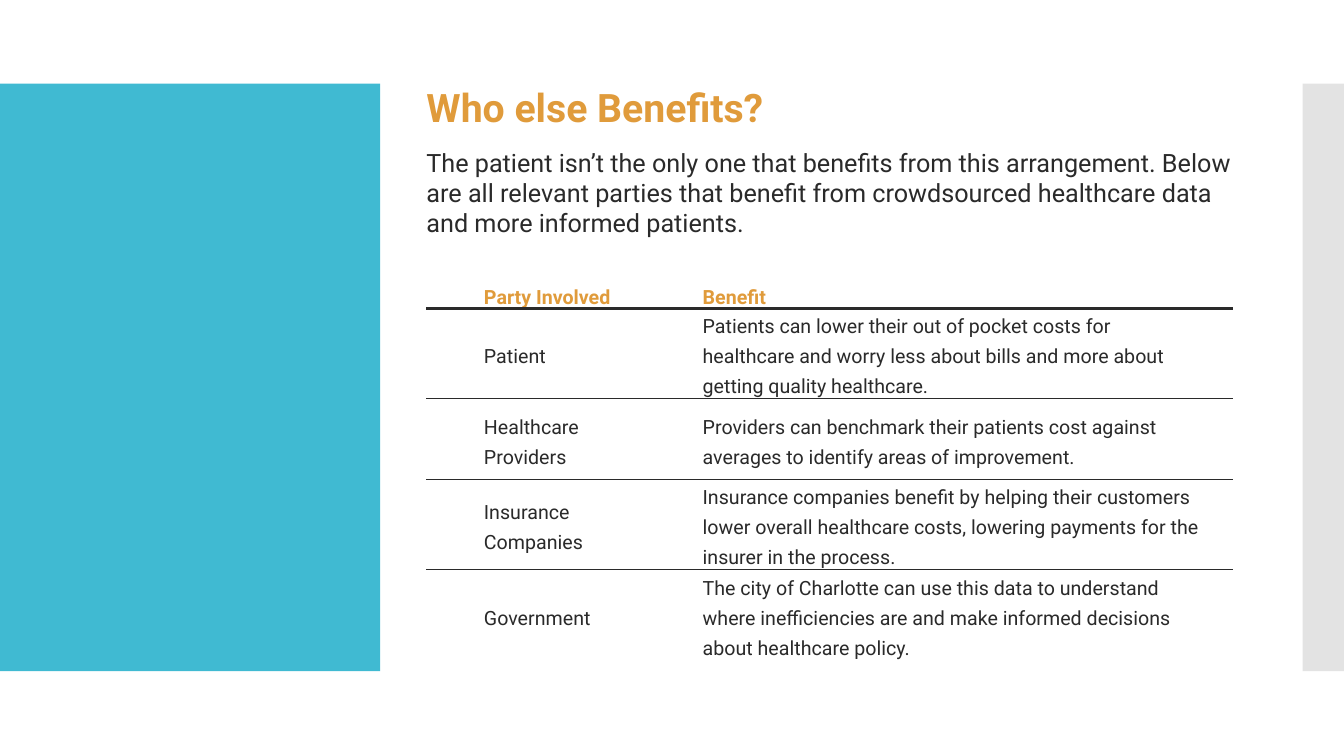
from dataclasses import dataclass
from typing import Optional

import lxml.etree
import pptx
import pptx.dml.color
import pptx.enum.shapes
import pptx.enum.text
import pptx.oxml.ns
import pptx.util

Inches = pptx.util.Inches
Pt = pptx.util.Pt
RGBColor = pptx.dml.color.RGBColor
ANCHOR = pptx.enum.text.MSO_ANCHOR
qn = pptx.oxml.ns.qn

ORANGE = RGBColor(0xE0, 0x9B, 0x3B)
DARK = RGBColor(0x2A, 0x2A, 0x2A)
TEAL = RGBColor(0x40, 0xBA, 0xD2)
GRAY = RGBColor(0xC8, 0xC8, 0xC8)
FONT = "Roboto"
LEFT, WIDTH = 4.23, 8


@dataclass
class Panel:
    left: float
    width: float
    color: RGBColor
    opacity: int = 100


@dataclass
class Benefit:
    party: str
    text: str


PANELS = [Panel(0, 3.77, TEAL), Panel(12.92, 0.42, GRAY, 50)]

INTRO = (
    "The patient isn’t the only one that benefits from this arrangement. "
    "Below are all relevant parties that benefit from crowdsourced "
    "healthcare data and more informed patients."
)

BENEFITS = [
    Benefit("Party Involved", "Benefit"),
    Benefit("Patient", "Patients can lower their out of pocket costs for healthcare "
            "and worry less about bills and more about getting quality healthcare."),
    Benefit("Healthcare Providers", "Providers can benchmark their patients cost "
            "against averages to identify areas of improvement."),
    Benefit("Insurance Companies", "Insurance companies benefit by helping their "
            "customers lower overall healthcare costs, lowering payments for the "
            "insurer in the process."),
    Benefit("Government", "The city of Charlotte can use this data to understand "
            "where inefficiencies are and make informed decisions about "
            "healthcare policy."),
]
COLUMNS = [0.47, 2.17, 5.36]
HEADER_HEIGHT, ROW_HEIGHT = 0.37, 0.8
# Rule widths in points, from the table's top edge to its bottom edge
RULES = [None, 3, 1, 1, 1, None]


def format_runs(p, size: float, color: RGBColor, bold: bool = False) -> None:
    for r in p.runs:
        r.font.name = FONT
        r.font.size = Pt(size)
        r.font.bold = bold
        r.font.color.rgb = color


def add_panel(s, panel: Panel) -> None:
    sp = s.shapes.add_shape(
        pptx.enum.shapes.MSO_SHAPE.RECTANGLE,
        Inches(panel.left), Inches(0.83), Inches(panel.width), Inches(5.83))
    sp.shadow.inherit = False
    sp.fill.solid()
    sp.fill.fore_color.rgb = panel.color
    sp.line.fill.background()
    if panel.opacity < 100:
        color = sp.fill._xPr.find(qn("a:solidFill"))[0]
        lxml.etree.SubElement(color, qn("a:alpha"), val=str(panel.opacity * 1000))


def fill_text(sp, text: str, top: float, height: float, size: float,
              color: RGBColor, bold: bool = False) -> None:
    sp.left, sp.top = Inches(LEFT), Inches(top)
    sp.width, sp.height = Inches(WIDTH), Inches(height)
    tf = sp.text_frame
    tf.text = text
    tf.word_wrap = True
    tf.auto_size = pptx.enum.text.MSO_AUTO_SIZE.NONE
    tf.vertical_anchor = ANCHOR.TOP
    tf.margin_left = tf.margin_right = tf.margin_top = tf.margin_bottom = 0
    p = tf.paragraphs[0]
    p.alignment = pptx.enum.text.PP_ALIGN.LEFT
    format_runs(p, size, color, bold)


def set_borders(cell, top: Optional[float], bottom: Optional[float]) -> None:
    """Rule the cell above and below, and clear its sides."""
    tc_pr = cell._tc.get_or_add_tcPr()
    sides = {"a:lnL": None, "a:lnR": None, "a:lnT": top, "a:lnB": bottom}
    for i, (tag, width) in enumerate(sides.items()):
        ln = lxml.etree.Element(qn(tag))
        if width is None:
            lxml.etree.SubElement(ln, qn("a:noFill"))
        else:
            ln.set("w", str(Pt(width)))
            fill = lxml.etree.SubElement(ln, qn("a:solidFill"))
            lxml.etree.SubElement(fill, qn("a:srgbClr"), val=str(DARK))
        tc_pr.insert(i, ln)


def format_cell(cell, text: str, header: bool) -> None:
    cell.fill.background()
    cell.margin_left, cell.margin_right = Inches(0.1), Inches(0.3)
    cell.margin_top = cell.margin_bottom = 0
    cell.vertical_anchor = ANCHOR.BOTTOM if header else ANCHOR.MIDDLE
    cell.text_frame.text = text
    p = cell.text_frame.paragraphs[0]
    p.line_spacing = 0.9 if header else 1.3
    p.space_before = Pt(24 if header else 10)
    p.space_after = Pt(18 if header else 10)
    format_runs(p, 14, ORANGE if header else DARK, header)


def add_benefits_table(s) -> None:
    heights = [HEADER_HEIGHT] + [ROW_HEIGHT] * (len(BENEFITS) - 1)
    table = s.shapes.add_table(
        len(BENEFITS), len(COLUMNS), Inches(LEFT), Inches(2.69),
        Inches(WIDTH), Inches(sum(heights))).table
    table.first_row = table.horz_banding = False
    for column, width in zip(table.columns, COLUMNS):
        column.width = Inches(width)
    for i, benefit in enumerate(BENEFITS):
        table.rows[i].height = Inches(heights[i])
        for j, text in enumerate(["", benefit.party, benefit.text]):
            cell = table.cell(i, j)
            format_cell(cell, text, header=i == 0)
            set_borders(cell, RULES[i], RULES[i + 1])


def main() -> None:
    prs = pptx.Presentation()
    prs.slide_width, prs.slide_height = Inches(13.33), Inches(7.5)
    s = prs.slides.add_slide(prs.slide_layouts.get_by_name("Title Only"))
    for panel in PANELS:
        add_panel(s, panel)
    add_benefits_table(s)
    fill_text(s.shapes.title, "Who else Benefits?", 0.83, 0.46, 28, ORANGE, True)
    intro = s.shapes.add_textbox(0, 0, 0, 0)
    fill_text(intro, INTRO, 1.46, 0.9, 18, DARK)
    prs.save("out.pptx")


if __name__ == "__main__":
    main()
